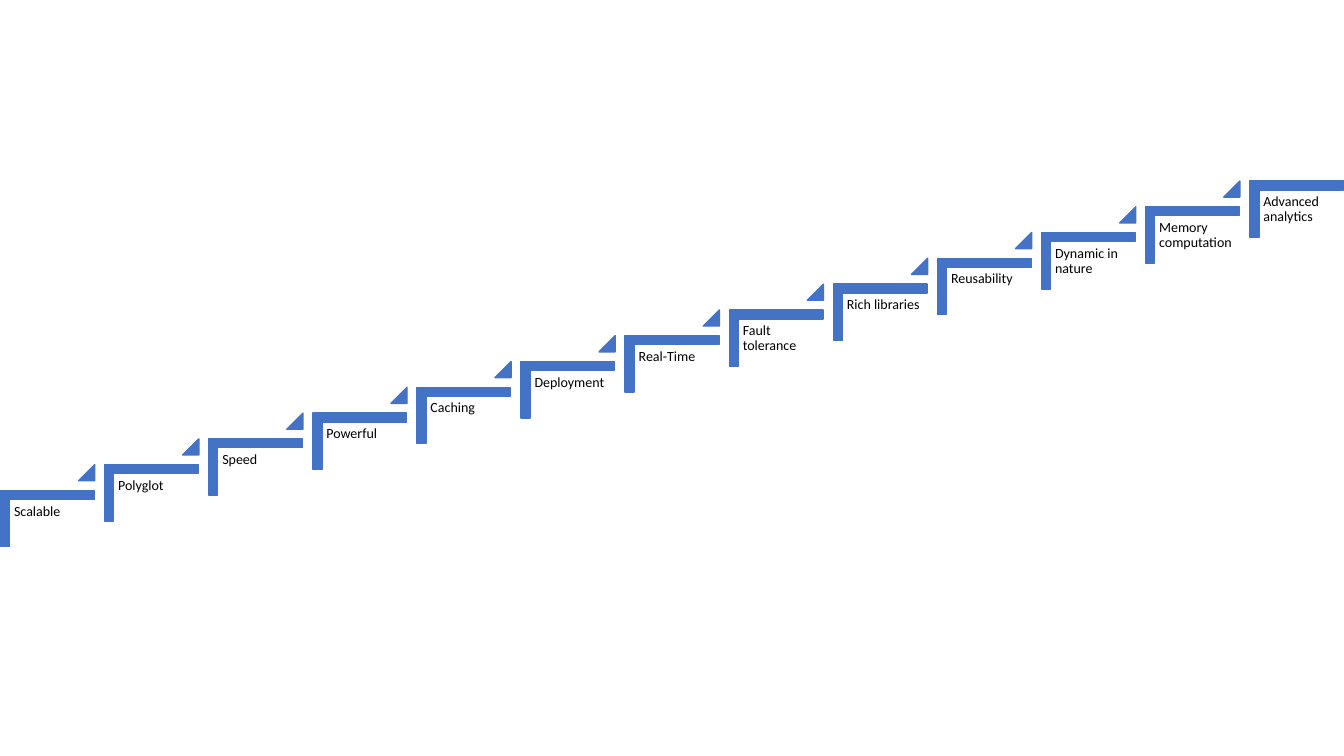
"""Build a slide with a rising staircase of thirteen labelled steps."""
from dataclasses import dataclass

import pptx
import pptx.dml.color
import pptx.enum.shapes
import pptx.enum.text
import pptx.shapes.autoshape
import pptx.shapes.shapetree
import pptx.util

Inches = pptx.util.Inches
Pt = pptx.util.Pt
RGBColor = pptx.dml.color.RGBColor
MSO_SHAPE = pptx.enum.shapes.MSO_SHAPE


@dataclass(frozen=True)
class Theme:
    """Colours, font and type sizes."""
    accent: RGBColor = RGBColor(0x44, 0x72, 0xC4)
    text: RGBColor = RGBColor(0, 0, 0)
    font: str = "Calibri"
    size: float = 10
    line: float = 1
    leading: float = 0.9
    space_after: float = 3.5


@dataclass(frozen=True)
class Step:
    """A stair step, placed by the top left of its unrotated corner shape."""
    label: str
    left: float
    top: float
    has_next: bool


THEME = Theme()
LABELS = [
    "Scalable", "Polyglot", "Speed", "Powerful", "Caching", "Deployment",
    "Real-Time", "Fault tolerance", "Rich libraries", "Reusability",
    "Dynamic in nature", "Memory computation", "Advanced analytics",
]
FIRST_LEFT, FIRST_TOP = 0.19, 4.68
LAST_LEFT, LAST_TOP = 12.58, 1.61


def make_steps(labels: list[str]) -> list[Step]:
    """Space the steps evenly from the first position to the last."""
    last = len(labels) - 1
    run = (LAST_LEFT - FIRST_LEFT) / last
    rise = (LAST_TOP - FIRST_TOP) / last
    return [Step(label, FIRST_LEFT + i * run, FIRST_TOP + i * rise, i < last)
            for i, label in enumerate(labels)]


def add_solid(shapes: pptx.shapes.shapetree.GroupShapes, kind: MSO_SHAPE,
              left: float, top: float, width: float,
              height: float) -> pptx.shapes.autoshape.Shape:
    """Add a preset shape in the accent colour."""
    sp = shapes.add_shape(kind, Inches(left), Inches(top),
                          Inches(width), Inches(height))
    sp.shadow.inherit = False
    sp.fill.solid()
    sp.fill.fore_color.rgb = THEME.accent
    sp.line.color.rgb = THEME.accent
    sp.line.width = Pt(THEME.line)
    return sp


def add_label(shapes: pptx.shapes.shapetree.GroupShapes, text: str,
              left: float, top: float) -> None:
    """Add the wrapped label under a step."""
    sp = shapes.add_textbox(Inches(left), Inches(top),
                            Inches(0.84), Inches(0.74))
    tf = sp.text_frame
    tf.word_wrap = True
    tf.margin_left = tf.margin_right = Inches(0.04)
    tf.margin_top = tf.margin_bottom = Inches(0.04)
    tf.vertical_anchor = pptx.enum.text.MSO_ANCHOR.TOP
    tf.text = text
    p = tf.paragraphs[0]
    p.line_spacing = THEME.leading
    p.space_after = Pt(THEME.space_after)
    r = p.runs[0]
    r.font.name = THEME.font
    r.font.size = Pt(THEME.size)
    r.font.color.rgb = THEME.text


def add_step(shapes: pptx.shapes.shapetree.GroupShapes, step: Step) -> None:
    """Draw a step, its label and the triangle leading to the next step."""
    corner = add_solid(shapes, MSO_SHAPE.CORNER, step.left, step.top, 0.56, 0.93)
    corner.rotation = 90
    corner.adjustments[0] = corner.adjustments[1] = 0.16
    add_label(shapes, step.label, step.left - 0.09, step.top + 0.28)
    if step.has_next:
        triangle = add_solid(shapes, MSO_SHAPE.ISOSCELES_TRIANGLE,
                             step.left + 0.59, step.top - 0.07, 0.16, 0.16)
        triangle.adjustments[0] = 1


def main() -> None:
    """Build and save the slide."""
    prs = pptx.Presentation()
    prs.slide_width, prs.slide_height = Inches(13.33), Inches(7.5)
    s = prs.slides.add_slide(prs.slide_layouts[6])
    staircase = s.shapes.add_group_shape()
    for step in make_steps(LABELS):
        add_step(staircase.shapes, step)
    prs.save("out.pptx")


if __name__ == "__main__":
    main()
